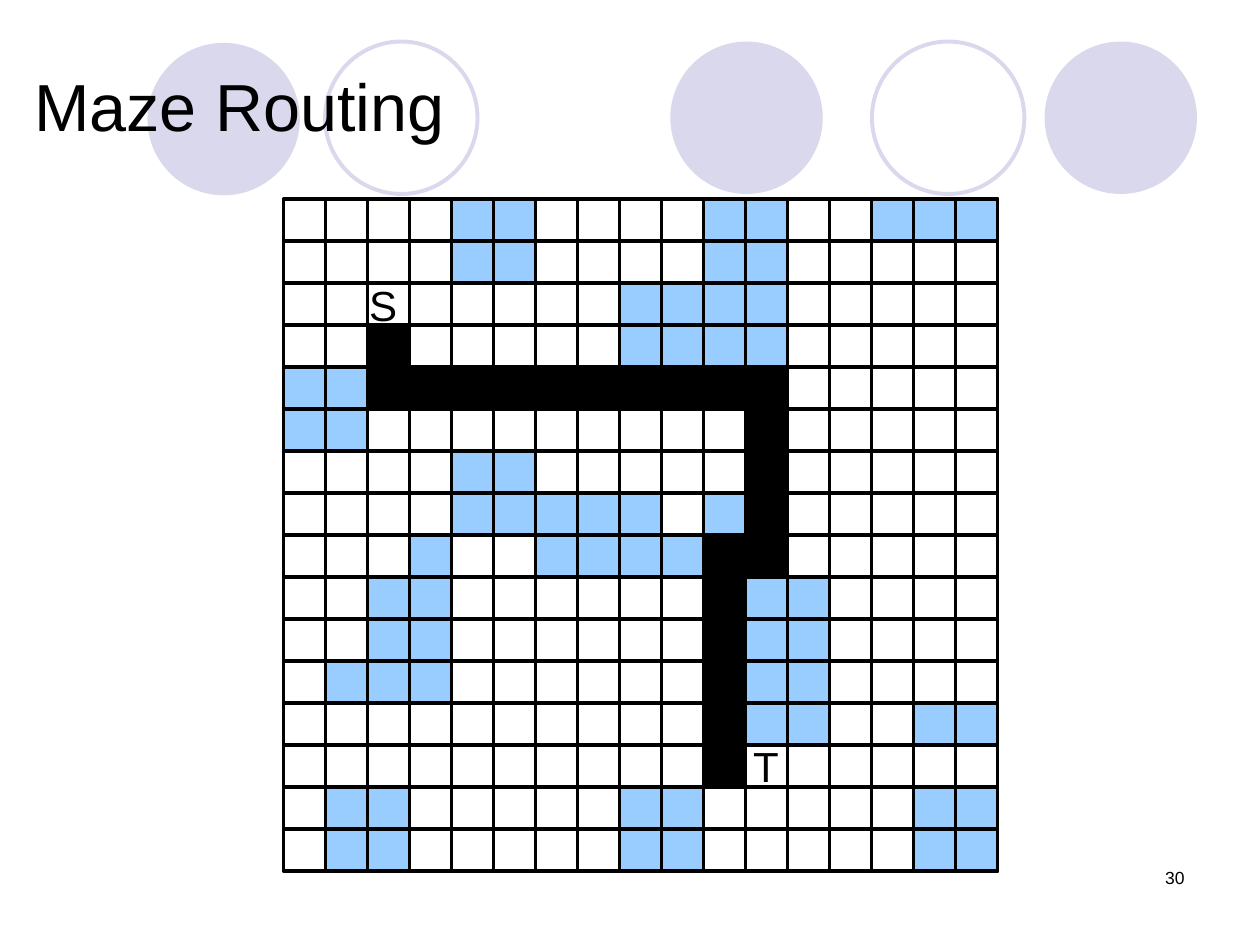
"""Build the maze routing slide: a grid with obstacles and the routed path from S to T."""
from dataclasses import dataclass
from typing import Any

from pptx import Presentation
from pptx import util as u
from pptx.dml.color import RGBColor
from pptx.enum import shapes, text
from pptx.oxml.ns import qn
from lxml import etree

COLORS = {"black": "000000", "obstacle": "99CCFF", "circle": "D9D8EC"}
FONT = "Arial"
CELL = 1 / 3
GRID_LEFT, GRID_TOP = 2.25, 1.58
GRID_LINE = 2
MAZE = (
    "....##....##..###",
    "....##....##.....",
    "........####.....",
    "..*.....####.....",
    "##**********.....",
    "##.........*.....",
    "....##.....*.....",
    "....#####.#*.....",
    "...#..####**.....",
    "..##......*##....",
    "..##......*##....",
    ".###......*##....",
    "..........*##..##",
    "..........*......",
    ".##.....##.....##",
    ".##.....##.....##",
)
ROWS, COLUMNS = len(MAZE), len(MAZE[0])
GRID_RIGHT = GRID_LEFT + COLUMNS * CELL
GRID_BOTTOM = GRID_TOP + ROWS * CELL


@dataclass
class Circle:
    left: float
    top: float
    filled: bool


@dataclass
class Label:
    wording: str
    box: tuple[float, float, float, float]
    size: int
    alignment: Any
    anchor: Any
    wrap: bool


CIRCLES = (
    Circle(5.32, 0.33, True),
    Circle(8.29, 0.33, True),
    Circle(1.17, 0.34, True),
    Circle(6.92, 0.33, False),
    Circle(2.58, 0.33, False),
)
TITLE = Label("Maze Routing", (0.17, 0.5, 9.67, 0.67), 38,
              text.PP_ALIGN.LEFT, text.MSO_ANCHOR.MIDDLE, True)
LABELS = (
    Label("S", (2.83, 2.17, 0.42, 0.5), 24,
          text.PP_ALIGN.CENTER, text.MSO_ANCHOR.MIDDLE, False),
    Label("T", (5.88, 5.83, 0.4, 0.5), 24,
          text.PP_ALIGN.CENTER, text.MSO_ANCHOR.MIDDLE, False),
)
PAGE_NUMBER = Label("30", (7.17, 6.83, 2.33, 0.5), 10,
                    text.PP_ALIGN.RIGHT, text.MSO_ANCHOR.TOP, True)


def color(name: str) -> RGBColor:
    return RGBColor.from_string(COLORS[name])


def set_values(target: Any, values: dict[str, Any]) -> None:
    for name, value in values.items():
        setattr(target, name, value)


def add_figure(container: Any, kind: Any, box: tuple[float, float, float, float],
               fill: str | None, line: str | None, width: float = GRID_LINE) -> Any:
    shape = container.add_shape(kind, *map(u.Inches, box))
    shape.shadow.inherit = False
    if fill:
        shape.fill.solid()
        shape.fill.fore_color.rgb = color(fill)
    else:
        shape.fill.background()
    if line:
        shape.line.color.rgb = color(line)
        shape.line.width = u.Pt(width)
    else:
        shape.line.fill.background()
    return shape


def add_circle(container: Any, circle: Circle) -> None:
    fill, line = ("circle", None) if circle.filled else (None, "circle")
    add_figure(container, shapes.MSO_SHAPE.OVAL,
               (circle.left, circle.top, 1.21, 1.21), fill, line, 2.25)


def add_line(container: Any, x1: float, y1: float, x2: float, y2: float) -> Any:
    connector = container.add_connector(
        shapes.MSO_CONNECTOR.STRAIGHT, *map(u.Inches, (x1, y1, x2, y2)))
    connector.line.color.rgb = color("black")
    connector.line.width = u.Pt(GRID_LINE)
    etree.SubElement(connector.element.spPr, qn("a:effectLst"))
    return connector


def add_grid(container: Any) -> None:
    frame = add_figure(container, shapes.MSO_SHAPE.RECTANGLE,
                       (GRID_LEFT, GRID_TOP, COLUMNS * CELL, ROWS * CELL), None, "black")
    for column in range(1, COLUMNS):
        x = GRID_LEFT + column * CELL
        add_line(container, x, GRID_TOP, x, GRID_BOTTOM)
    for row in range(1, ROWS):
        y = GRID_TOP + row * CELL
        connector = add_line(container, GRID_LEFT, y, GRID_RIGHT, y)
        if 2 * row == ROWS:
            connector.begin_connect(frame, 1)
            connector.end_connect(frame, 3)


def add_cells(container: Any, mark: str, fill: str) -> None:
    for row, marks in enumerate(MAZE):
        for column, found in enumerate(marks):
            if found == mark:
                box = (GRID_LEFT + column * CELL, GRID_TOP + row * CELL, CELL, CELL)
                add_figure(container, shapes.MSO_SHAPE.RECTANGLE, box, fill, "black")


def write_label(shape: Any, label: Label) -> None:
    left, top, width, height = map(u.Inches, label.box)
    set_values(shape, {"left": left, "top": top, "width": width, "height": height})
    frame = shape.text_frame
    frame.text = label.wording
    set_values(frame, {
        "word_wrap": label.wrap, "vertical_anchor": label.anchor,
        "auto_size": text.MSO_AUTO_SIZE.NONE if label.wrap
        else text.MSO_AUTO_SIZE.SHAPE_TO_FIT_TEXT,
    })
    paragraph = frame.paragraphs[0]
    paragraph.alignment = label.alignment
    font = paragraph.runs[0].font
    set_values(font, {"name": FONT, "size": u.Pt(label.size)})
    font.color.rgb = color("black")


def add_label(container: Any, label: Label) -> None:
    write_label(container.add_textbox(*map(u.Inches, label.box)), label)


def main() -> None:
    presentation = Presentation()
    set_values(presentation, {"slide_width": u.Inches(10), "slide_height": u.Inches(7.5)})
    slide = presentation.slides.add_slide(presentation.slide_layouts[5])
    circles = slide.shapes.add_group_shape()
    for circle in CIRCLES:
        add_circle(circles.shapes, circle)
    title = slide.shapes.title
    write_label(title, TITLE)
    circles.element.addnext(title.element)
    add_grid(slide.shapes)
    for label in LABELS:
        add_label(slide.shapes, label)
    add_cells(slide.shapes, "#", "obstacle")
    add_cells(slide.shapes.add_group_shape().shapes, "*", "black")
    add_label(slide.shapes, PAGE_NUMBER)
    presentation.save("out.pptx")


if __name__ == "__main__":
    main()
